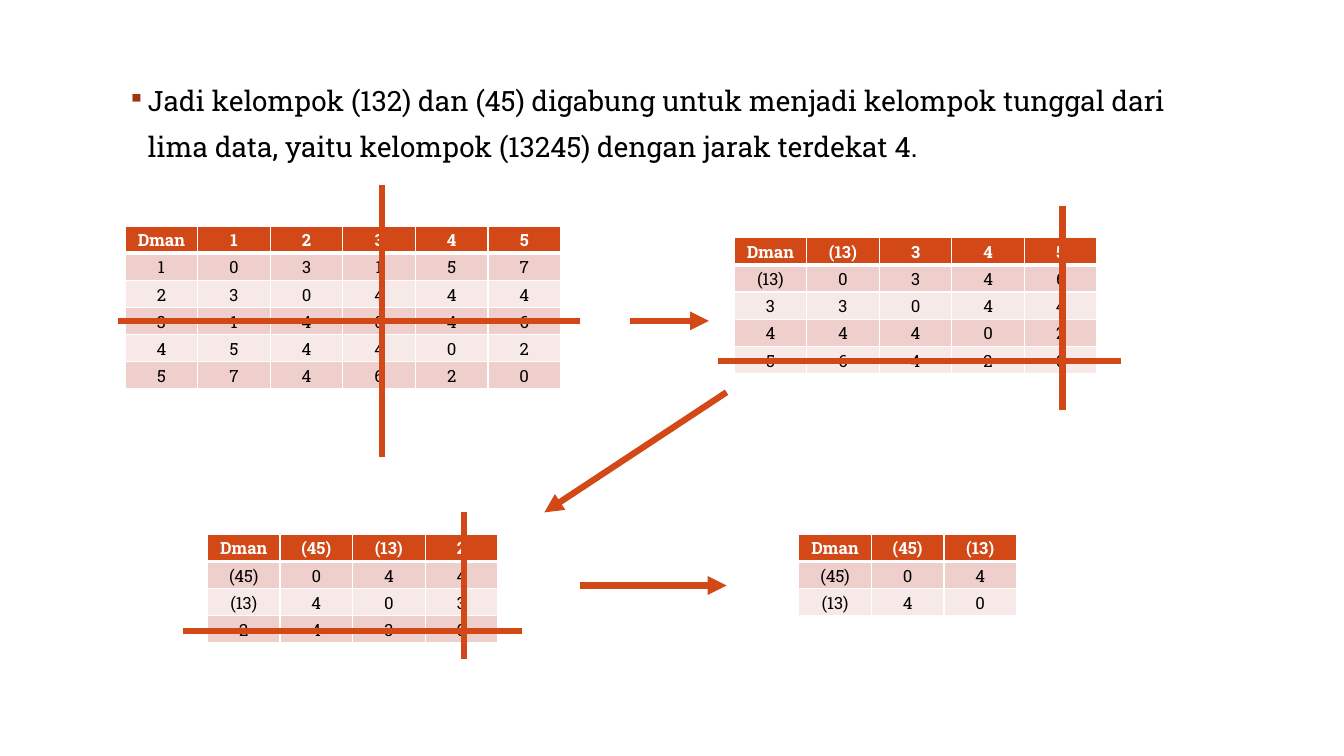
from dataclasses import dataclass

from lxml import etree
from pptx import Presentation
from pptx import util as u
from pptx.dml.color import RGBColor
from pptx.enum import shapes, text
from pptx.oxml.ns import qn


@dataclass(frozen=True)
class Theme:
    font: str = "Roboto Slab"
    accent: str = "D34817"
    bullet: str = "9E3611"
    ink: str = "000000"
    paper: str = "FFFFFF"
    bands: tuple = ("EFCFCC", "F7E9E8")
    body_size: float = 20
    table_size: float = 12
    stroke: float = 4.5
    border: float = 1
    header_border: float = 3


class SlideBuilder:
    """Places elements on a grid of 160 columns by 90 rows."""

    COLUMNS, ROWS = 160, 90
    CELL_WIDTH, CELL_HEIGHT = 8.64, 3.24

    def __init__(self, presentation, theme):
        self.theme = theme
        self.column = presentation.slide_width / self.COLUMNS
        self.row = presentation.slide_height / self.ROWS
        self.slide = presentation.slides.add_slide(presentation.slide_layouts[6])

    def place(self, x, y):
        return u.Emu(round(x * self.column)), u.Emu(round(y * self.row))

    def style_font(self, paragraph, size, color, bold=False):
        font = paragraph.font
        font.name, font.size, font.bold = self.theme.font, u.Pt(size), bold
        font.color.rgb = RGBColor.from_string(color)

    def bullet_text(self, x, y, width, height, wording):
        box = self.slide.shapes.add_textbox(*self.place(x, y), *self.place(width, height))
        box.text_frame.word_wrap = True
        paragraph = box.text_frame.paragraphs[0]
        paragraph.text = wording
        paragraph.line_spacing = 1.35
        self.style_font(paragraph, self.theme.body_size, self.theme.ink)
        properties = paragraph._p.get_or_add_pPr()
        properties.set("marL", str(u.Inches(0.2)))
        properties.set("indent", str(-u.Inches(0.2)))
        bullet_color = etree.Element(qn("a:buClr"))
        etree.SubElement(bullet_color, qn("a:srgbClr"), val=self.theme.bullet)
        bullet_size = etree.Element(qn("a:buSzPct"), val="85000")
        bullet = etree.Element(qn("a:buChar"), char="▪")
        position = properties.index(properties.find(qn("a:defRPr")))
        properties[position:position] = [bullet_color, bullet_size, bullet]

    def border_cell(self, cell, is_header):
        properties = cell._tc.get_or_add_tcPr()
        for side in ("lnL", "lnR", "lnT", "lnB"):
            thick = is_header and side == "lnB"
            width = self.theme.header_border if thick else self.theme.border
            line = etree.SubElement(properties, qn(f"a:{side}"), w=str(u.Pt(width)))
            fill = etree.SubElement(line, qn("a:solidFill"))
            etree.SubElement(fill, qn("a:srgbClr"), val=self.theme.paper)

    def distance_table(self, x, y, labels, distances):
        """Draws a square distance matrix labelled on both axes."""
        rows = [["Dman", *labels]]
        rows += [[label, *values] for label, values in zip(labels, distances)]
        count = len(rows)
        size = self.place(count * self.CELL_WIDTH, count * self.CELL_HEIGHT)
        frame = self.slide.shapes.add_table(count, count, *self.place(x, y), *size)
        table = frame.table
        cell_width, cell_height = self.place(self.CELL_WIDTH, self.CELL_HEIGHT)
        for index, values in enumerate(rows):
            table.columns[index].width = cell_width
            table.rows[index].height = cell_height
            is_header = index == 0
            background = self.theme.accent if is_header else self.theme.bands[(index - 1) % 2]
            color = self.theme.paper if is_header else self.theme.ink
            for position, value in enumerate(values):
                cell = table.cell(index, position)
                cell.margin_left = cell.margin_right = u.Inches(0.07)
                cell.margin_top = cell.margin_bottom = u.Inches(0.03)
                self.border_cell(cell, is_header)
                cell.fill.solid()
                cell.fill.fore_color.rgb = RGBColor.from_string(background)
                paragraph = cell.text_frame.paragraphs[0]
                paragraph.text = value
                paragraph.alignment = text.PP_ALIGN.CENTER
                self.style_font(paragraph, self.theme.table_size, color, is_header)

    def line(self, start, end, arrow=False):
        connector = self.slide.shapes.add_connector(
            shapes.MSO_CONNECTOR.STRAIGHT, *self.place(*start), *self.place(*end))
        connector.line.color.rgb = RGBColor.from_string(self.theme.accent)
        connector.line.width = u.Pt(self.theme.stroke)
        if arrow:
            etree.SubElement(connector.line._get_or_add_ln(), qn("a:tailEnd"), type="triangle")
        etree.SubElement(connector._element.spPr, qn("a:effectLst"))

    def strike(self, x, y, horizontal, vertical):
        """Crosses out one column at x and one row at y over the given spans."""
        top, bottom = vertical
        left, right = horizontal
        self.line((x, top), (x, bottom))
        self.line((right, y), (left, y))


def main():
    presentation = Presentation()
    presentation.slide_width, presentation.slide_height = u.Inches(13.33), u.Inches(7.5)
    builder = SlideBuilder(presentation, Theme())

    builder.bullet_text(
        14, 8, 132, 73,
        "Jadi kelompok (132) dan (45) digabung untuk menjadi kelompok tunggal dari "
        "lima data, yaitu kelompok (13245) dengan jarak terdekat 4.")

    builder.distance_table(14.9, 26.9, "12345", ["03157", "30444", "14046", "54402", "74620"])
    builder.strike(45.5, 38.2, horizontal=(14, 69), vertical=(22, 54.4))

    builder.distance_table(87.4, 28.3, ["(13)", "3", "4", "5"], ["0346", "3044", "4402", "6420"])
    builder.strike(126.5, 43, horizontal=(85.5, 133.5), vertical=(24.5, 48.8))

    builder.distance_table(24.7, 63.6, ["(45)", "(13)", "2"], ["044", "403", "430"])
    builder.strike(55.2, 75.1, horizontal=(21.8, 62.2), vertical=(61, 78.4))

    builder.distance_table(95.1, 63.6, ["(45)", "(13)"], ["04", "40"])

    for start, end in (
        ((75, 38.2), (84.4, 38.2)),
        ((69, 69.7), (86.5, 69.7)),
        ((86.5, 46.7), (64.8, 61)),
    ):
        builder.line(start, end, arrow=True)

    presentation.save("out.pptx")


if __name__ == "__main__":
    main()
